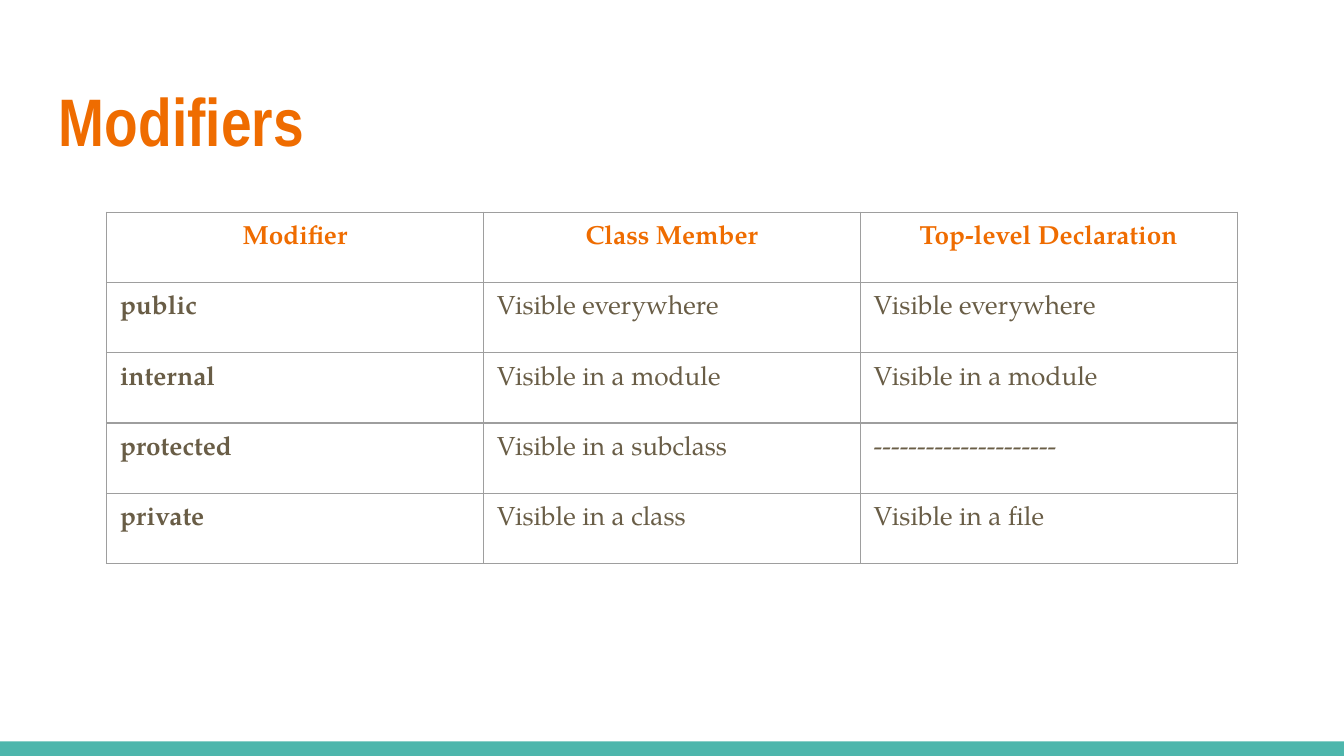
import pptx
import pptx.util
import pptx.dml.color
import pptx.enum.shapes
import pptx.enum.text
import pptx.oxml
import pptx.oxml.ns

Pt = pptx.util.Pt
RGBColor = pptx.dml.color.RGBColor
Align = pptx.enum.text.PP_ALIGN

ORANGE = RGBColor(0xEF, 0x6C, 0x00)
BROWN = RGBColor(0x69, 0x5D, 0x46)
TEAL = RGBColor(0x4D, 0xB6, 0xAC)
GRAY = RGBColor(0x9E, 0x9E, 0x9E)

TITLE = "Modifiers"
ROWS = [
    ("Modifier", "Class Member", "Top-level Declaration"),
    ("public", "Visible everywhere", "Visible everywhere"),
    ("internal", "Visible in a module", "Visible in a module"),
    ("protected", "Visible in a subclass", "---------------------"),
    ("private", "Visible in a class", "Visible in a file"),
]

SLIDE_WIDTH, SLIDE_HEIGHT = 720, 405
BAR_HEIGHT = 7.8
TABLE_LEFT, TABLE_TOP = 57.1, 113.7
COLUMN_WIDTH, ROW_HEIGHT = 201.9, 37.65
INSET = 7.2
BORDER_WIDTH = 0.75


def write_text(frame, text, font="TeX Gyre Pagella", size=14, color=BROWN, bold=False, align=Align.LEFT):
    frame.word_wrap = True
    paragraph = frame.paragraphs[0]
    paragraph.alignment = align
    run = paragraph.add_run()
    run.text = text
    run.font.name = font
    run.font.size = Pt(size)
    run.font.bold = bold
    run.font.color.rgb = color


def set_margins(target):
    target.margin_left = target.margin_right = Pt(INSET)
    target.margin_top = target.margin_bottom = Pt(INSET)


def style_cell(cell):
    set_margins(cell)
    cell.vertical_anchor = pptx.enum.text.MSO_ANCHOR.TOP
    properties = cell._tc.get_or_add_tcPr()
    for side in ("lnL", "lnR", "lnT", "lnB"):
        properties.append(pptx.oxml.parse_xml(
            f'<a:{side} {pptx.oxml.ns.nsdecls("a")} w="{Pt(BORDER_WIDTH)}">'
            f'<a:solidFill><a:srgbClr val="{GRAY}"/></a:solidFill></a:{side}>'))
    cell.fill.background()


presentation = pptx.Presentation()
presentation.slide_width = Pt(SLIDE_WIDTH)
presentation.slide_height = Pt(SLIDE_HEIGHT)
slide = presentation.slides.add_slide(presentation.slide_layouts[6])

bar = slide.shapes.add_shape(
    pptx.enum.shapes.MSO_SHAPE.RECTANGLE,
    Pt(0), Pt(SLIDE_HEIGHT - BAR_HEIGHT), Pt(SLIDE_WIDTH), Pt(BAR_HEIGHT))
bar.shadow.inherit = False
bar.fill.solid()
bar.fill.fore_color.rgb = TEAL
bar.line.fill.background()

title = slide.shapes.add_textbox(Pt(24.5), Pt(35.3), Pt(671), Pt(55.4))
set_margins(title.text_frame)
write_text(title.text_frame, TITLE, font="Arial Narrow", size=36, color=ORANGE, bold=True)

column_count = len(ROWS[0])
table = slide.shapes.add_table(
    len(ROWS), column_count, Pt(TABLE_LEFT), Pt(TABLE_TOP),
    Pt(COLUMN_WIDTH * column_count), Pt(ROW_HEIGHT * len(ROWS))).table
table.horz_banding = False
table.first_row = False
for column in table.columns:
    column.width = Pt(COLUMN_WIDTH)
for row_index, texts in enumerate(ROWS):
    table.rows[row_index].height = Pt(ROW_HEIGHT)
    is_header = row_index == 0
    for column_index, text in enumerate(texts):
        cell = table.cell(row_index, column_index)
        style_cell(cell)
        write_text(
            cell.text_frame, text,
            color=ORANGE if is_header else BROWN,
            bold=is_header or column_index == 0,
            align=Align.CENTER if is_header else Align.LEFT)

presentation.save("out.pptx")
